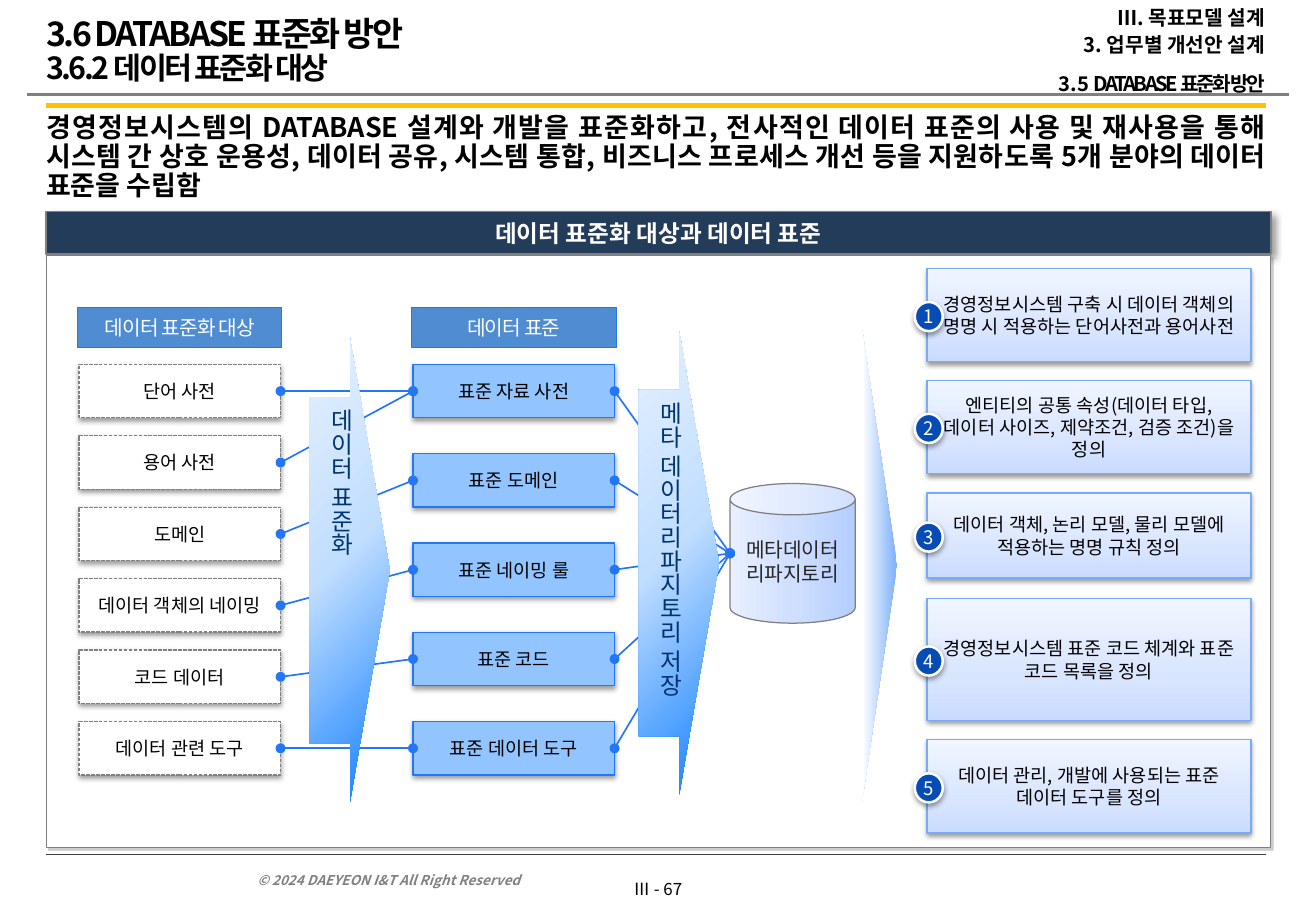
from collections import namedtuple

from lxml import etree
from pptx import Presentation
from pptx.dml.color import RGBColor
from pptx.enum import dml, shapes, text
from pptx.oxml import ns
from pptx.util import Pt

FONT = "Noto Sans CJK KR"
BLACK = RGBColor(0x00, 0x00, 0x00)
WHITE = RGBColor(0xFF, 0xFF, 0xFF)
GRAY = RGBColor(0x80, 0x80, 0x80)
CHARCOAL = RGBColor(0x26, 0x26, 0x26)
FOOTER_LINE = RGBColor(0x40, 0x40, 0x40)
GOLD = RGBColor(0xFF, 0xC0, 0x00)
NAVY = RGBColor(0x23, 0x3C, 0x5A)
HEADING_BLUE = RGBColor(0x50, 0x8C, 0xD2)
STANDARD_BLUE = RGBColor(0x92, 0xC4, 0xFF)
LINK_BLUE = RGBColor(0x23, 0x77, 0xF7)
BADGE_BLUE = RGBColor(0x07, 0x4C, 0xB5)
CARD_LINE = RGBColor(0x77, 0xAB, 0xF8)
ARROW_TEXT = RGBColor(0x00, 0x33, 0x6F)
CARD_STOPS = [(0, RGBColor(0xC9, 0xDB, 0xFF)), (35, RGBColor(0xD9, 0xE5, 0xFF)), (100, RGBColor(0xF0, 0xF5, 0xFF))]
CAN_STOPS = [(0, RGBColor(0xB4, 0xCE, 0xFF)), (50, RGBColor(0xD0, 0xDF, 0xFF)), (100, RGBColor(0xE8, 0xEF, 0xFF))]
ARROW_STOPS = [(0, RGBColor(0xE5, 0xF1, 0xFF)), (46, RGBColor(0xC1, 0xDE, 0xFF)), (100, RGBColor(0x0C, 0x7C, 0xFF))]
WEDGE_STOPS = [(0, RGBColor(0x7D, 0xAF, 0xFA)), (100, WHITE)]
SOFT_SHADOW = (BLACK, 38, 3.1, 1.6, 90)
INSETS = (7.2, 3.6, 7.2, 3.6)

PP_ALIGN, ANCHOR, SHAPE = text.PP_ALIGN, text.MSO_ANCHOR, shapes.MSO_SHAPE
Box = namedtuple("Box", "left top width height")


def child(parent, tag, **attributes):
    """Append a DrawingML element and return it."""
    values = {name: str(value) for name, value in attributes.items()}
    return etree.SubElement(parent, ns.qn("a:" + tag), values)


def style(paragraph, size, color=BLACK, bold=False, align=PP_ALIGN.CENTER, spacing=0):
    """Set the alignment and the font of a whole paragraph."""
    paragraph.alignment = align
    font = paragraph.font
    font.name, font.size, font.bold = FONT, Pt(size), bold
    font.color.rgb = color
    properties = paragraph._p.pPr.find(ns.qn("a:defRPr"))
    child(properties, "ea", typeface=FONT)
    if spacing:
        properties.set("spc", str(int(spacing * 100)))


def set_frame(shape, insets=INSETS, anchor=ANCHOR.MIDDLE, wrap=True):
    """Set the margins, anchor and wrapping of a shape's text."""
    frame = shape.text_frame
    frame.margin_left, frame.margin_top, frame.margin_right, frame.margin_bottom = map(Pt, insets)
    frame.vertical_anchor, frame.word_wrap = anchor, wrap
    frame.auto_size = text.MSO_AUTO_SIZE.NONE
    return frame


def add_text(slide, box, content, size, insets=INSETS, anchor=ANCHOR.TOP, wrap=True, **font):
    """Add a text box with one paragraph and return the paragraph."""
    shape = slide.shapes.add_textbox(*map(Pt, box))
    paragraph = set_frame(shape, insets, anchor, wrap).paragraphs[0]
    paragraph.text = content
    style(paragraph, size, **font)
    return paragraph


def set_gradient(shape, stops, angle=None):
    """Fill a shape with a linear gradient, or a radial one from its top left."""
    shape.fill.gradient()
    gradient = shape._element.spPr.find(ns.qn("a:gradFill"))
    for element in list(gradient):
        gradient.remove(element)
    stop_list = child(gradient, "gsLst")
    for position, color in stops:
        child(child(stop_list, "gs", pos=position * 1000), "srgbClr", val=color)
    if angle is None:
        child(child(gradient, "path", path="circle"), "fillToRect", r=100000, b=100000)
    else:
        child(gradient, "lin", ang=angle * 60000, scaled=0)


def add_shape(slide, kind, box, fill=None, line=None, width=0.75, shadow=None):
    """Add a preset shape with a plain fill, an outline and an optional shadow."""
    shape = slide.shapes.add_shape(kind, *map(Pt, box))
    shape.shadow.inherit = False
    if fill is not None:
        shape.fill.solid()
        shape.fill.fore_color.rgb = fill
    if line is None:
        shape.line.fill.background()
    else:
        shape.line.color.rgb, shape.line.width = line, Pt(width)
    if shadow:
        color, opacity, blur, distance, angle = shadow
        effects = shape._element.spPr.find(ns.qn("a:effectLst"))
        outer = child(effects, "outerShdw", blurRad=Pt(blur), dist=Pt(distance), dir=angle * 60000, rotWithShape=0)
        child(child(outer, "srgbClr", val=color), "alpha", val=opacity * 1000)
    return shape


def label(shape, content, size, color=BLACK, insets=INSETS, wrap=True, **font):
    """Write one centred paragraph in a shape."""
    paragraph = set_frame(shape, insets, wrap=wrap).paragraphs[0]
    paragraph.text = content
    style(paragraph, size, color, **font)


def add_line(slide, start, end, color, width, dots=False):
    """Add a straight connector, with round ends on request."""
    line = slide.shapes.add_connector(shapes.MSO_CONNECTOR.STRAIGHT, *map(Pt, (*start, *end)))
    line.line.color.rgb, line.line.width = color, Pt(width)
    if dots:
        for tag in ("headEnd", "tailEnd"):
            child(line.line._get_or_add_ln(), tag, type="oval")
    child(line._element.spPr, "effectLst")
    return line


def header(slide, box):
    """Place the title, the chapter path and the two rules."""
    for left, right, top, color, width in ((16, 764, 56, GRAY, 1.5), (box.left, 750.2, 62.6, GOLD, 2.5)):
        add_line(slide, (left, top), (right, top), color, width)
    title = slide.shapes.title
    title.left, title.top, title.width, title.height = map(Pt, (box.left, box.top, 589.7, box.height))
    paragraph = set_frame(title, (0, 0, 0, 0)).paragraphs[0]
    paragraph.line_spacing = 0.9
    style(paragraph, 20, bold=True, align=PP_ALIGN.LEFT, spacing=-1.5)
    paragraph.add_run().text = "3.6 DATABASE 표준화 방안"
    paragraph.add_line_break()
    subtitle = paragraph.add_run()
    subtitle.text, subtitle.font.size = "3.6.2 데이터 표준화 대상", Pt(18)

    chapter = slide.shapes.add_textbox(*map(Pt, (box.left + box.width - 254.9, box.top, 254.9, box.height)))
    frame = set_frame(chapter, (0, 0, 0, 0))
    for index, (content, gap) in enumerate((("Ⅲ. 목표모델 설계", 0), ("3. 업무별 개선안 설계", 2.9), ("3.5 ", 10))):
        paragraph = frame.add_paragraph() if index else frame.paragraphs[0]
        paragraph.line_spacing, paragraph.space_before = 0.9, Pt(gap)
        style(paragraph, 12, bold=True, align=PP_ALIGN.RIGHT)
        paragraph.add_run().text = content
    section = paragraph.add_run()
    section.text = "DATABASE 표준화 방안"
    section._r.get_or_add_rPr().set("spc", "-150")


def footer(slide, box):
    """Place the footer rule, the copyright line and the page number."""
    add_line(slide, (box.left, box.top), (box.left + box.width, box.top), FOOTER_LINE, 0.5)
    add_text(slide, (box.left + 118, box.top + 4.3, 217.4, 19.4), "© 2024 DAEYEON I&T All Right Reserved", 8,
             anchor=ANCHOR.BOTTOM, color=GRAY, bold=True, align=PP_ALIGN.LEFT).font.italic = True
    add_text(slide, (box.left + 341.2, box.top + 10.8, 42.5, 19.4), "Ⅲ - 67", 10, (4.3, 3.6, 4.3, 3.6), wrap=False)


def panel(slide, box):
    """Place the framed panel and its heading bar."""
    bar = add_shape(slide, SHAPE.RECTANGLE, box._replace(height=25.2), NAVY, GRAY, 1, (BLACK, 40, 4, 3, 45))
    label(bar, "데이터 표준화 대상과 데이터 표준", 14, WHITE, bold=True)
    body = box._replace(top=box.top + 25.9, height=box.height - 25.9)
    add_shape(slide, SHAPE.RECTANGLE, body, WHITE, GRAY, 0.5, (GRAY, 40, 0, 2, 45))


def column(slide, box, heading, names, fill, line, dash=None):
    """Place a heading over evenly spread boxes and return the boxes."""
    top = add_shape(slide, SHAPE.RECTANGLE, (box.left - 0.7, box.top, box.width + 1.5, 23.8),
                    HEADING_BLUE, LINK_BLUE, 0.5)
    label(top, heading, 12, WHITE, (5.8, 0, 5.8, 0), False, spacing=-0.5)
    height, first = 31.7, 33.8
    pitch = (box.height - first - height) / (len(names) - 1)
    items = []
    for index, name in enumerate(names):
        place = (box.left, box.top + first + index * pitch, box.width, height)
        item = add_shape(slide, SHAPE.RECTANGLE, place, fill, line, shadow=SOFT_SHADOW)
        item.line.dash_style = dash
        label(item, name, 11, wrap=False)
        items.append(item)
    return items


def link(slide, source, target=None, end=(0, 0)):
    """Join a box to another box, or to a point."""
    line = add_line(slide, (0, 0), end, LINK_BLUE, 1, dots=True)
    line.begin_connect(source, 3)
    if target is not None:
        line.end_connect(target, 1)


def repository(slide, box):
    """Place the metadata repository cylinder."""
    can = add_shape(slide, SHAPE.CAN, box, line=GRAY)
    set_gradient(can, CAN_STOPS, 180)
    label(can, "메타데이터 리파지토리", 12, CHARCOAL, (5.8, 2.9, 5.8, 2.9))


def card(slide, box, number, content):
    """Place a description card with its number badge."""
    shape = add_shape(slide, SHAPE.RECTANGLE, box, line=CARD_LINE, shadow=SOFT_SHADOW)
    set_gradient(shape, CARD_STOPS, 270)
    label(shape, content, 11, insets=(8.6, 0, 8.6, 0))
    place = (box.left - 7.2, box.top + box.height / 2 - 7.8, 16.6, 17.3)
    badge = add_shape(slide, SHAPE.OVAL, place, BADGE_BLUE, WHITE, 1.5, SOFT_SHADOW)
    label(badge, str(number), 11, WHITE, (5.8, 2.9, 5.8, 2.9), False)


def stage_arrow(slide, box, content):
    """Place a tall arrow with vertical text."""
    arrow = add_shape(slide, SHAPE.RIGHT_ARROW, box)
    arrow.adjustments[0], arrow.adjustments[1] = 0.748, 0.496
    set_gradient(arrow, ARROW_STOPS)
    label(arrow, content, 14, ARROW_TEXT, (11.5, 3.6, 7.2, 3.6), False)
    arrow.text_frame._txBody.bodyPr.set("vert", "eaVert")


def main():
    """Build the slide and save it."""
    presentation = Presentation()
    presentation.slide_width, presentation.slide_height = Pt(780), Pt(540)
    slide = presentation.slides.add_slide(presentation.slide_layouts[5])
    header(slide, Box(27.4, 0, 722.5, 61.5))
    footer(slide, Box(27.4, 506.2, 722.8, 30))
    add_text(slide, (27.4, 67.7, 722.9, 49), "경영정보시스템의 DATABASE 설계와 개발을 표준화하고, 전사적인 데이터 표준의 사용 및 재사용을 통해 "
             "시스템 간 상호 운용성, 데이터 공유, 시스템 통합, 비즈니스 프로세스 개선 등을 지원하도록 5개 분야의 데이터 표준을 수립함",
             16, (0, 0, 0, 0), bold=True, align=PP_ALIGN.JUSTIFY).line_spacing = 0.9
    panel(slide, Box(27.4, 125.3, 725.8, 377.3))
    targets = column(slide, Box(46.8, 182.2, 119.5, 277.2), "데이터 표준화 대상",
                     ["단어 사전", "용어 사전", "도메인", "데이터 객체의 네이밍", "코드 데이터", "데이터 관련 도구"],
                     WHITE, GRAY, dml.MSO_LINE.SQUARE_DOT)
    standards = column(slide, Box(244.8, 182.2, 119.5, 277.2), "데이터 표준",
                       ["표준 자료 사전", "표준 도메인", "표준 네이밍 룰", "표준 코드", "표준 데이터 도구"],
                       STANDARD_BLUE, LINK_BLUE)
    for target, standard in zip(targets, standards[:1] + standards):
        link(slide, target, standard)
    can = Box(432.7, 286.6, 74.2, 82.8)
    repository(slide, can)
    for standard in standards:
        link(slide, standard, end=(can.left, can.top + can.height / 2))
    for number, (top, height, content) in enumerate((
            (159.1, 55.4, "경영정보시스템 구축 시 데이터 객체의 명명 시 적용하는 단어사전과 용어사전"),
            (225.4, 55.4, "엔티티의 공통 속성(데이터 타입, 데이터 사이즈, 제약조건, 검증 조건)을 정의"),
            (292.3, 50.4, "데이터 객체, 논리 모델, 물리 모델에 적용하는 명명 규칙 정의"),
            (355, 72, "경영정보시스템 표준 코드 체계와 표준 코드 목록을 정의"),
            (438.5, 55.4, "데이터 관리, 개발에 사용되는 표준 데이터 도구를 정의")), 1):
        card(slide, Box(549.4, top, 192.2, height), number, content)
    wedge = add_shape(slide, SHAPE.ISOSCELES_TRIANGLE, (380.9, 324.7, 280.8, 20.9))
    wedge.rotation = 90
    set_gradient(wedge, WEDGE_STOPS, 90)
    stage_arrow(slide, Box(378.7, 196.6, 47.5, 274.3), "메타 데이터리파지토리 저장")
    stage_arrow(slide, Box(183.6, 200.9, 47.5, 274.3), "데이터 표준화")
    presentation.save("out.pptx")


if __name__ == "__main__":
    main()
